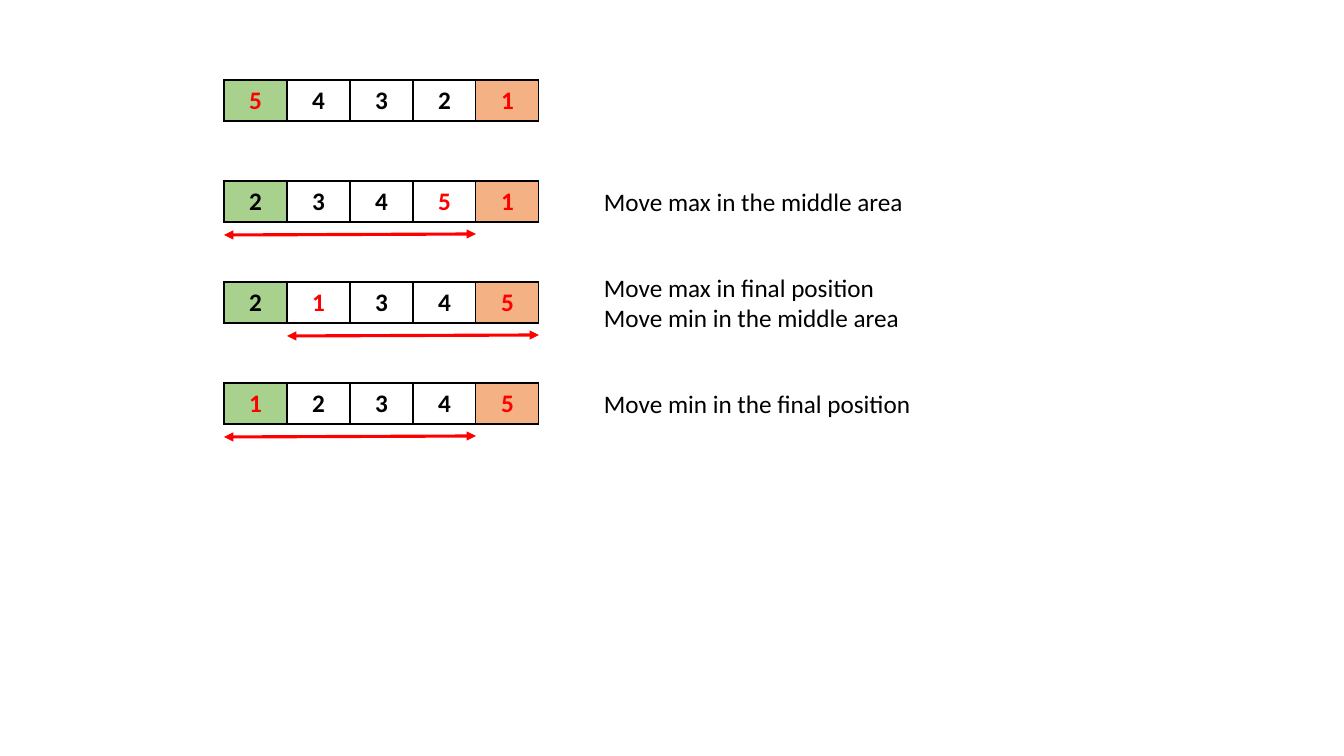
import pptx
import pptx.util
import pptx.dml.color
import pptx.enum.shapes
import pptx.enum.text
import pptx.oxml.ns
from lxml import etree

COLORS = {
    "text": "000000",
    "moved": "FF0000",
    "first": "A9D18E",
    "last": "F4B183",
}
CELL_WIDTH, CELL_HEIGHT = 63, 41
ARRAY_LEFT, ARRAY_TOP, ARRAY_PITCH = 224, 80, 101
NOTE_LEFT, NOTE_PADDING, LINE_HEIGHT = 594, 10, 30
ARROW_DROP, ARROW_CELLS = 54, 4

# values, positions of the red values, first cell under the arrow, note, note width
STEPS = [
    ([5, 4, 3, 2, 1], (0, 4), None, None, 0),
    ([2, 3, 4, 5, 1], (3, 4), 0, "Move max in the middle area", 323),
    ([2, 1, 3, 4, 5], (1, 4), 1,
     "Move max in final position\nMove min in the middle area", 331),
    ([1, 2, 3, 4, 5], (0, 4), 0, "Move min in the final position", 343),
]


def px(length):
    return pptx.util.Emu(round(length * 914400 / 100.8))


def rgb(name):
    return pptx.dml.color.RGBColor.from_string(COLORS[name])


def add_element(parent, tag, **attributes):
    return etree.SubElement(parent, pptx.oxml.ns.qn(tag), attributes)


class SlideBuilder:
    font_name = "Calibri"
    font_size = pptx.util.Pt(18)
    border_width = pptx.util.Pt(1)
    arrow_width = pptx.util.Pt(2.25)

    def __init__(self, slide):
        self.slide = slide

    def style_text(self, paragraph, color, bold=False):
        for run in paragraph.runs:
            run.font.name = self.font_name
            run.font.size = self.font_size
            run.font.bold = bold
            run.font.color.rgb = rgb(color)

    def add_borders(self, cell):
        """Put a solid line on all four sides, ahead of the cell's fill."""
        properties = cell._tc.get_or_add_tcPr()
        for index, side in enumerate(("a:lnL", "a:lnR", "a:lnT", "a:lnB")):
            line = add_element(properties, side, w=str(self.border_width))
            fill = add_element(line, "a:solidFill")
            add_element(fill, "a:srgbClr", val=COLORS["text"])
            properties.insert(index, line)

    def add_array(self, left, top, values, moved):
        count = len(values)
        table = self.slide.shapes.add_table(
            1, count, px(left), px(top), px(CELL_WIDTH * count), px(CELL_HEIGHT)).table
        table.first_row = table.horz_banding = False
        fills = {0: "first", count - 1: "last"}
        for index, value in enumerate(values):
            cell = table.cell(0, index)
            if index in fills:
                cell.fill.solid()
                cell.fill.fore_color.rgb = rgb(fills[index])
            else:
                cell.fill.background()
            self.add_borders(cell)
            cell.text_frame.text = str(value)
            paragraph = cell.text_frame.paragraphs[0]
            paragraph.alignment = pptx.enum.text.PP_ALIGN.CENTER
            self.style_text(paragraph, "moved" if index in moved else "text", bold=True)

    def add_range_arrow(self, left, top, width):
        """Draw a double-headed arrow that rises by one px to the right."""
        arrow = self.slide.shapes.add_connector(
            pptx.enum.shapes.MSO_CONNECTOR.STRAIGHT,
            px(left), px(top), px(left + width), px(top - 1))
        arrow.line.color.rgb = rgb("moved")
        arrow.line.width = self.arrow_width
        line = arrow.line._get_or_add_ln()
        for end in ("a:headEnd", "a:tailEnd"):
            add_element(line, end, type="triangle")
        add_element(arrow._element.spPr, "a:effectLst")

    def add_note(self, left, middle, width, text):
        height = NOTE_PADDING + LINE_HEIGHT * len(text.splitlines())
        box = self.slide.shapes.add_textbox(
            px(left), px(middle - height / 2), px(width), px(height))
        box.text_frame.word_wrap = False
        box.text_frame.auto_size = pptx.enum.text.MSO_AUTO_SIZE.SHAPE_TO_FIT_TEXT
        paragraph = box.text_frame.paragraphs[0]
        paragraph.text = text
        self.style_text(paragraph, "text")


def main():
    presentation = pptx.Presentation()
    presentation.slide_width = px(1344)
    presentation.slide_height = px(756)
    slide = presentation.slides.add_slide(presentation.slide_layouts[6])
    builder = SlideBuilder(slide)

    for step, (values, moved, arrow_start, note, note_width) in enumerate(STEPS):
        top = ARRAY_TOP + step * ARRAY_PITCH
        builder.add_array(ARRAY_LEFT, top, values, moved)
        if arrow_start is not None:
            builder.add_range_arrow(ARRAY_LEFT + arrow_start * CELL_WIDTH,
                                    top + ARROW_DROP, ARROW_CELLS * CELL_WIDTH)
        if note:
            builder.add_note(NOTE_LEFT, top + CELL_HEIGHT / 2, note_width, note)

    presentation.save("out.pptx")


if __name__ == "__main__":
    main()
